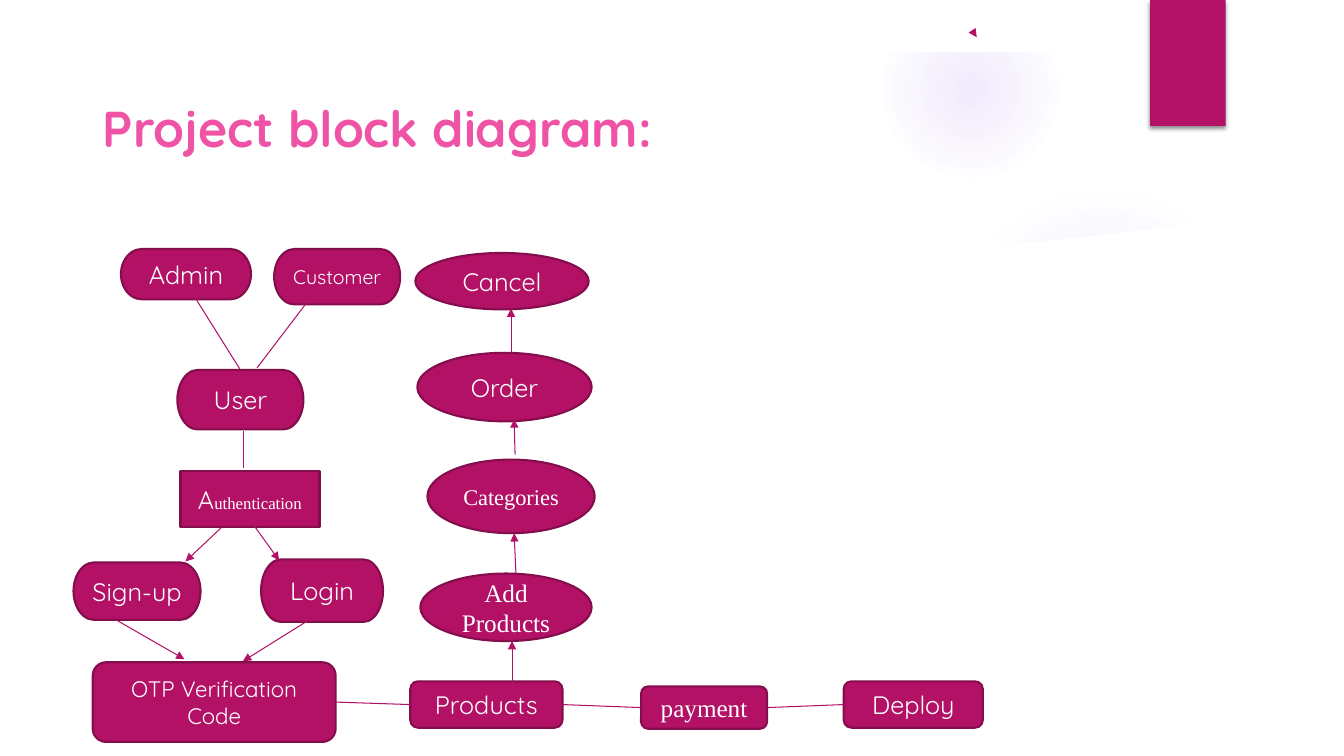
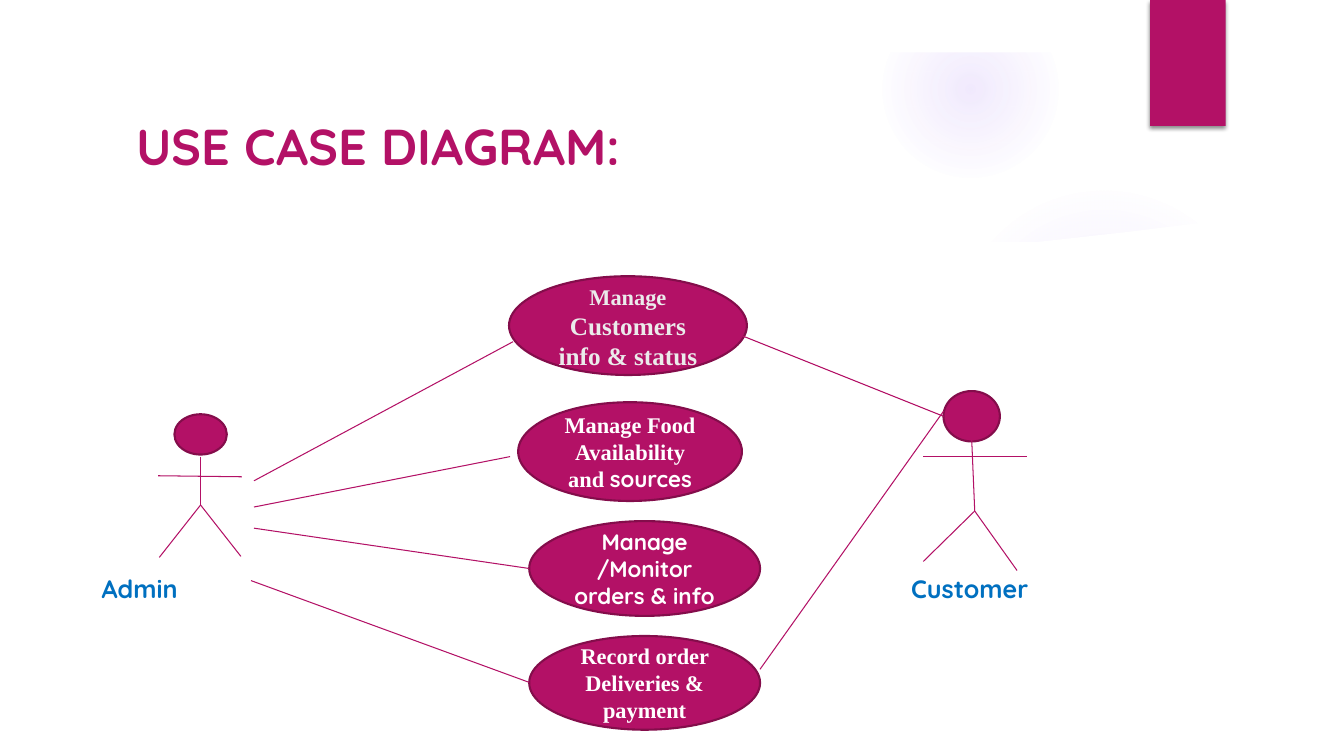
from pptx import Presentation
from pptx import util as u
from pptx.dml.color import RGBColor
from pptx.enum import shapes, text
from pptx.oxml import ns, parse_xml

CELL = u.Inches(0.1)  # all positions are columns and rows of this grid
WIDTH, HEIGHT = 133.33, 75
MAGENTA, DARK, PINK = "B31166", "840D4B", "EF53A5"
WHITE, PALE, BLUE, VIOLET = "FFFFFF", "EBEBEB", "0070C0", "9B6BF2"
SANS, SERIF = "Quicksand", "Times New Roman"

PRESET = shapes.MSO_SHAPE
PILL = PRESET.FLOWCHART_TERMINATOR
ROUND = PRESET.ROUNDED_RECTANGLE
OVAL = PRESET.OVAL
BOX = PRESET.RECTANGLE
TOP, LEFT, RIGHT = 0, 1, 3

# name: preset, (left, top, width, height), runs of (text, size, font)
BLOCKS = {
    "admin": (PILL, (12, 24.7, 12.9, 5), [("Admin", 18, SANS)]),
    "customer": (PILL, (27.2, 24.7, 12.5, 5.5), [("Customer", 14, SANS)]),
    "user": (PILL, (17.6, 36.7, 12.5, 5.9), [("User", 18, SANS)]),
    "authentication": (BOX, (17.9, 46.7, 13.8, 5.6),
                       [("A", 18, SANS), ("uthentication", 12, SERIF)]),
    "sign-up": (PILL, (7.3, 55.8, 12.6, 5.7), [("Sign-up", 18, SANS)]),
    "login": (PILL, (25.9, 55.5, 12.1, 6.2), [("Login", 18, SANS)]),
    "otp": (ROUND, (9.2, 65.7, 24.1, 7.9), [("OTP Verification Code", 16, SANS)]),
    "products": (ROUND, (40.7, 67.6, 15.1, 4.6), [("Products", 18, SANS)]),
    "payment": (ROUND, (63.6, 68.1, 12.5, 4.2), [("payment", 18, SERIF)]),
    "deploy": (ROUND, (83.7, 67.6, 13.8, 4.6), [("Deploy", 18, SANS)]),
    "cancel": (OVAL, (41.2, 25.1, 17.2, 5.6), [("Cancel", 18, SANS)]),
    "order": (OVAL, (41.4, 35, 17.3, 6.8), [("Order", 18, SANS)]),
    "categories": (OVAL, (42.4, 45.6, 16.6, 7.3), [("Categories", 16, SERIF)]),
    "add": (OVAL, (41.7, 56.9, 17, 6.7), [("Add Products", 18, SERIF)]),
}
BLOCK_LINES = [
    ((30.6, 29.8), (25.5, 36.5)),
    ((24.2, 42.8), (24.2, 46.4)),
]
BLOCK_ARROWS = [
    ((21.9, 52.4), (18.4, 55.7)),
    ((25.1, 52), (27.7, 55.6)),
    ((11.7, 61.6), (18.3, 65.4)),
    ((30.5, 61.6), (24.1, 65.6)),
    ((50.8, 68.4), (50.8, 63.6)),
    ((51.2, 57.2), (51, 52.9)),
    ((51.1, 45.1), (51, 41.6)),
    ((50.7, 35), (50.7, 30.6)),
    ((96.5, 3.1), (96.9, 3.7)),
]
USE_CASES = [
    ((50.5, 27.4, 23.6, 9.8), PALE,
     [("Manage", 16, SERIF), (" Customers info & status", 18, SERIF)]),
    ((51.4, 39.9, 22.2, 9.8), WHITE,
     [("Manage Food Availability and ", 16, SERIF), ("sources", 16, SANS)]),
    ((52.5, 51.7, 22.9, 9.4), WHITE, [("Manage /Monitor orders & info", 16, SANS)]),
    ((52.5, 63.1, 22.9, 9.3), WHITE,
     [("Record order Deliveries & payment", 16, SERIF)]),
]
USE_CASE_LINES = [
    ((25.2, 47.7), (50.9, 33.9)),
    ((25.2, 50.3), (50.6, 45.3)),
    ((25.2, 52.4), (52.5, 56.4)),
    ((24.9, 57.6), (52.5, 67.7)),
    ((93.6, 41.3), (73.6, 33.3)),
    ((93.6, 40.8), (75.4, 66.4)),
]


def color(value):
    return RGBColor.from_string(value)


def cells(values):
    return [round(value * CELL) for value in values]


def write(shape, runs, ink, bold=False, align=text.PP_ALIGN.CENTER):
    frame = shape.text_frame
    frame.word_wrap = True
    frame.vertical_anchor = text.MSO_ANCHOR.MIDDLE
    paragraph = frame.paragraphs[0]
    paragraph.alignment = align
    for words, size, font in runs:
        run = paragraph.add_run()
        run.text = words
        run.font.size = u.Pt(size)
        run.font.name = font
        run.font.bold = bold
        run.font.color.rgb = color(ink)


def paint(shape, fill, outline=None):
    shape.shadow.inherit = False
    shape.fill.solid()
    shape.fill.fore_color.rgb = color(fill)
    if outline:
        shape.line.color.rgb = color(outline)
        shape.line.width = u.Pt(1.5)
    else:
        shape.line.fill.background()


def add_node(slide, preset, place, runs=(), ink=WHITE, bold=False):
    """Outlined magenta shape with centred text."""
    shape = slide.shapes.add_shape(preset, *cells(place))
    paint(shape, MAGENTA, DARK)
    write(shape, runs, ink, bold)
    return shape


def add_label(slide, place, words, size, ink):
    """Bold left-aligned text, used for titles and actor names."""
    box = slide.shapes.add_textbox(*cells(place))
    write(box, [(words, size, SANS)], ink, True, text.PP_ALIGN.LEFT)


def add_line(slide, start, end, arrow=False):
    line = slide.shapes.add_connector(
        shapes.MSO_CONNECTOR.STRAIGHT, *cells((*start, *end)))
    line.line.color.rgb = color(MAGENTA)
    line.line.width = u.Pt(0.75)
    if arrow:
        line.line._get_or_add_ln().append(
            parse_xml(f'<a:tailEnd {ns.nsdecls("a")} type="triangle"/>'))
    line._element.spPr.append(parse_xml(f'<a:effectLst {ns.nsdecls("a")}/>'))
    return line


def add_glow(slide, place, stops):
    """Circle that fades outwards; stops are (position, opacity) in percent."""
    shape = slide.shapes.add_shape(OVAL, *cells(place))
    paint(shape, VIOLET)
    shape.fill.background()
    stop_xml = "".join(
        f'<a:gs pos="{position * 1000}"><a:srgbClr val="{VIOLET}">'
        f'<a:alpha val="{opacity * 1000}"/></a:srgbClr></a:gs>'
        for position, opacity in stops)
    gradient = parse_xml(
        f'<a:gradFill {ns.nsdecls("a")}><a:gsLst>{stop_xml}</a:gsLst>'
        '<a:path path="circle"><a:fillToRect l="50000" t="50000" r="50000" '
        'b="50000"/></a:path></a:gradFill>')
    properties = shape._element.spPr
    properties.replace(properties.find(ns.qn("a:noFill")), gradient)


def add_backdrop(slide):
    add_glow(slide, (94.1, 18.3, 30.8, 30.8), [(0, 7), (36, 6), (69, 0)])
    add_glow(slide, (87.5, 0.1, 17.5, 17.5), [(0, 14), (36, 7), (73, 0)])
    wave = [(90, 24.4), (94.9, 24.1), (103.2, 23.5), (111.6, 22.7), (120, 21.7),
            (128.4, 20.4), (128.4, 70), (90, 70)]
    builder = slide.shapes.build_freeform(*wave[0], scale=CELL)
    builder.add_line_segments(wave[1:])
    paint(builder.convert_to_shape(), WHITE)
    paint(slide.shapes.add_shape(BOX, *cells((0, 0, WIDTH, 5.2))), WHITE)

    ribbon = slide.shapes.add_shape(BOX, *cells((114.1, 0, 7.5, 12.5)))
    paint(ribbon, MAGENTA)
    ribbon._element.spPr.find(ns.qn("a:effectLst")).append(parse_xml(
        f'<a:outerShdw {ns.nsdecls("a")} blurRad="{u.Pt(3)}" dist="{u.Pt(2)}" '
        'dir="5400000" rotWithShape="0"><a:srgbClr val="000000">'
        '<a:alpha val="45000"/></a:srgbClr></a:outerShdw>'))


def add_slide(presentation, title, place, ink):
    slide = presentation.slides.add_slide(presentation.slide_layouts[6])
    add_backdrop(slide)
    add_label(slide, place, title, 36, ink)
    return slide


def add_actor(slide, head, neck, hip, hands, feet):
    """Stick figure: a head, a torso, one line for the arms and two legs."""
    add_node(slide, OVAL, head)
    add_line(slide, neck, hip)
    add_line(slide, *hands)
    for foot in feet:
        add_line(slide, hip, foot)


def draw_block_diagram(presentation):
    slide = add_slide(presentation, "Project block diagram:",
                      (9.2, 6.9, 99.2, 11.5), PINK)
    nodes = {name: add_node(slide, *block) for name, block in BLOCKS.items()}
    for start, end in BLOCK_LINES:
        add_line(slide, start, end)
    for start, end in BLOCK_ARROWS:
        add_line(slide, start, end, arrow=True)
    add_line(slide, (23.9, 36.7), (19.4, 29.6)).begin_connect(nodes["user"], TOP)
    chain = ["otp", "products", "payment", "deploy"]
    for before, after in zip(chain, chain[1:]):
        line = add_line(slide, (0, 0), (0, 0))
        line.begin_connect(nodes[before], RIGHT)
        line.end_connect(nodes[after], LEFT)


def draw_use_cases(presentation):
    slide = add_slide(presentation, "USE CASE DIAGRAM:",
                      (12.6, 10.6, 95.8, 7.7), MAGENTA)
    add_actor(slide, (17.3, 41.1, 5.2, 4), (19.9, 45.3), (19.9, 50.1),
              ((15.7, 47.2), (24, 47.3)), [(15.8, 55.3), (23.9, 55.2)])
    add_actor(slide, (93.6, 38.8, 5.6, 5), (96.4, 43.6), (96.7, 50.7),
              ((91.6, 45.3), (101.9, 45.3)), [(91.6, 55.7), (100.9, 56.6)])
    for left, actor in ((9.1, "Admin"), (89.4, "Customer")):
        add_label(slide, (left, 56.4, 16, 4), actor, 18, BLUE)
    for place, ink, runs in USE_CASES:
        add_node(slide, OVAL, place, runs, ink, bold=True)
    for start, end in USE_CASE_LINES:
        add_line(slide, start, end)


def main():
    presentation = Presentation()
    presentation.slide_width, presentation.slide_height = cells((WIDTH, HEIGHT))
    draw_block_diagram(presentation)
    draw_use_cases(presentation)
    presentation.save("out.pptx")


if __name__ == "__main__":
    main()
